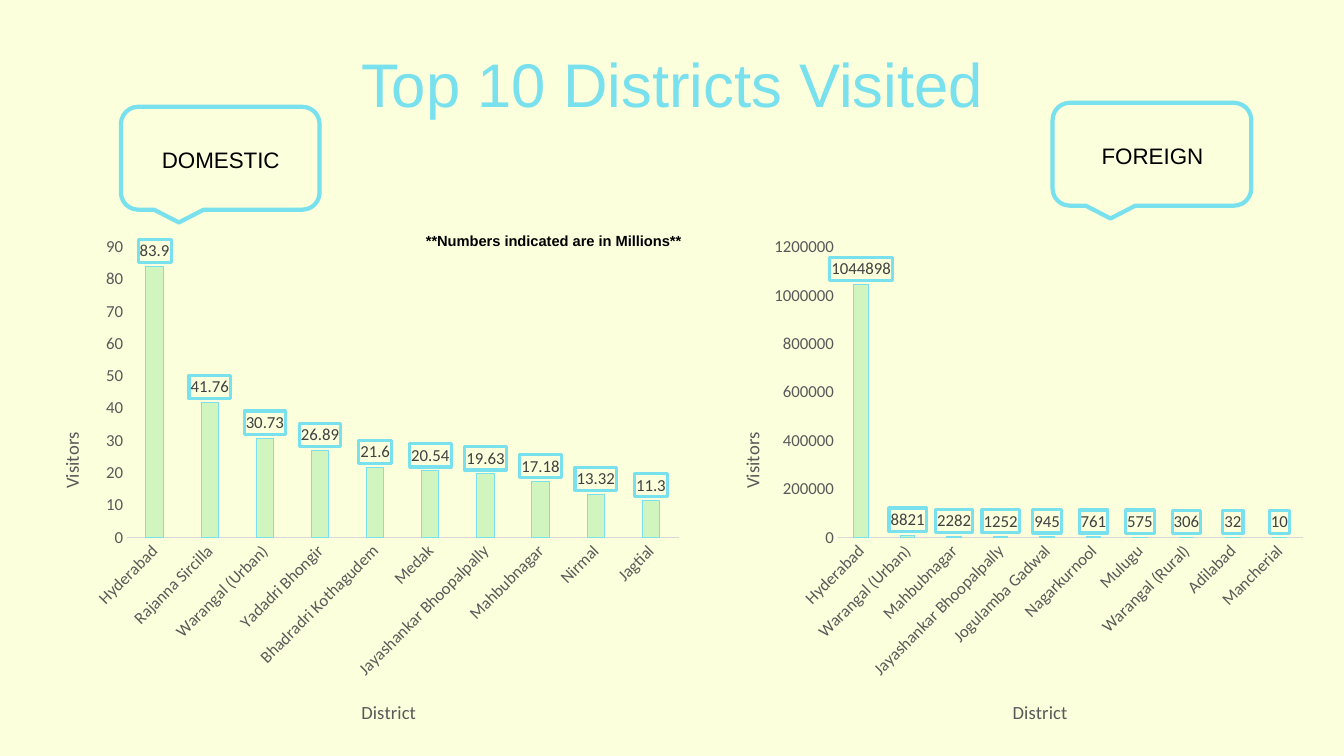
from dataclasses import dataclass

from lxml.etree import SubElement
from pptx import Presentation
from pptx.chart.data import CategoryChartData
from pptx.dml.color import RGBColor
from pptx.enum.chart import XL_CHART_TYPE, XL_LABEL_POSITION, XL_TICK_MARK
from pptx.enum.shapes import MSO_SHAPE
from pptx.enum.text import MSO_ANCHOR, MSO_AUTO_SIZE, PP_ALIGN
from pptx.oxml import parse_xml
from pptx.oxml.ns import nsdecls, qn
from pptx.util import Inches, Pt

COLORS = {
    "background": "FBFFDC",
    "accent": "79E0EE",
    "bar": "D0F5BE",
    "axis_text": "595959",
    "axis_line": "D9D9D9",
    "value_text": "404040",
    "text": "000000",
}
CHART_TOP, CHART_HEIGHT = 2.25, 5.09
PLOT_TOP, PLOT_HEIGHT = 2.45, 2.88
DISTRICT_TOP, VISITORS_TOP = 6.91, 4.25


@dataclass
class VisitorGroup:
    """Visitors of one kind, with the places of their chart and callout in inches."""

    name: str
    visitors: dict[str, float]
    left: float
    width: float
    plot_left: float
    plot_width: float
    district_left: float
    visitors_left: float
    axis_max: float
    axis_step: float
    callout_left: float
    callout_top: float


GROUPS = [
    VisitorGroup(
        "DOMESTIC",
        {"Hyderabad": 83.9, "Rajanna Sircilla": 41.76, "Warangal (Urban)": 30.73,
         "Yadadri Bhongir": 26.89, "Bhadradri Kothagudem": 21.6, "Medak": 20.54,
         "Jayashankar Bhoopalpally": 19.63, "Mahbubnagar": 17.18, "Nirmal": 13.32,
         "Jagtial": 11.3},
        left=0.29, width=6.57, plot_left=1.26, plot_width=5.47,
        district_left=3.55, visitors_left=0.55, axis_max=90, axis_step=10,
        callout_left=1.2, callout_top=1.06,
    ),
    VisitorGroup(
        "FOREIGN",
        {"Hyderabad": 1044898, "Warangal (Urban)": 8821, "Mahbubnagar": 2282,
         "Jayashankar Bhoopalpally": 1252, "Jogulamba Gadwal": 945, "Nagarkurnool": 761,
         "Mulugu": 575, "Warangal (Rural)": 306, "Adilabad": 32, "Mancherial": 10},
        left=7.04, width=6, plot_left=8.31, plot_width=4.61,
        district_left=10.01, visitors_left=7.3, axis_max=1200000, axis_step=200000,
        callout_left=10.44, callout_top=1.02,
    ),
]


def color(name: str) -> RGBColor:
    """Return the named colour."""
    return RGBColor.from_string(COLORS[name])


def style_font(font, size: float, shade: str, face: str = "Arial", bold: bool = False) -> None:
    """Set face, size, colour and weight of a font."""
    font.name, font.size, font.bold = face, Pt(size), bold
    font.color.rgb = color(shade)


def add_label(slide, text: str, left: float, top: float, width: float, height: float,
              size: float, align: PP_ALIGN, bold: bool = False) -> None:
    """Add a one-line text box."""
    label = slide.shapes.add_textbox(Inches(left), Inches(top), Inches(width), Inches(height))
    frame = label.text_frame
    frame.word_wrap = True
    frame.auto_size = MSO_AUTO_SIZE.SHAPE_TO_FIT_TEXT
    frame.paragraphs[0].alignment = align
    run = frame.paragraphs[0].add_run()
    run.text = text
    style_font(run.font, size, "text", bold=bold)


def place(part, index: int, group: VisitorGroup, left: float, top: float,
          size: tuple[float, float] | None = None) -> None:
    """Give a chart part a fixed place, from slide positions in inches."""
    for old in part.findall(qn("c:layout")):
        part.remove(old)
    layout = parse_xml(f"<c:layout {nsdecls('c')}><c:manualLayout/></c:layout>")
    values = {"xMode": "edge", "yMode": "edge",
              "x": (left - group.left) / group.width,
              "y": (top - CHART_TOP) / CHART_HEIGHT}
    if size:
        values = {"layoutTarget": "inner", **values,
                  "w": size[0] / group.width, "h": size[1] / CHART_HEIGHT}
    for tag, value in values.items():
        SubElement(layout[0], qn(f"c:{tag}")).set("val", str(value))
    part.insert(index, layout)


def style_axis(axis, title: str, group: VisitorGroup, left: float, top: float) -> None:
    """Format an axis and place its title."""
    axis.has_major_gridlines = False
    axis.major_tick_mark = axis.minor_tick_mark = XL_TICK_MARK.NONE
    style_font(axis.tick_labels.font, 12, "axis_text", "Calibri")
    axis.has_title = True
    run = axis.axis_title.text_frame.paragraphs[0].add_run()
    run.text = title
    style_font(run.font, 13.3, "axis_text", "Calibri")
    place(axis.axis_title.element, 1, group, left, top)


def add_visitor_chart(slide, group: VisitorGroup) -> None:
    """Add the column chart of one visitor group."""
    data = CategoryChartData()
    data.categories = list(group.visitors)
    data.add_series("Series 1", list(group.visitors.values()))
    chart = slide.shapes.add_chart(
        XL_CHART_TYPE.COLUMN_CLUSTERED, Inches(group.left), Inches(CHART_TOP),
        Inches(group.width), Inches(CHART_HEIGHT), data).chart
    chart.has_title = chart.has_legend = False
    style_font(chart.font, 10, "text", "Calibri")

    districts, counts = chart.category_axis, chart.value_axis
    style_axis(districts, "District", group, group.district_left, DISTRICT_TOP)
    style_axis(counts, "Visitors", group, group.visitors_left, VISITORS_TOP)
    districts.format.line.color.rgb = color("axis_line")
    districts.format.line.width = Pt(0.75)
    counts.format.line.fill.background()
    counts.minimum_scale, counts.maximum_scale = 0, group.axis_max
    counts.major_unit = group.axis_step

    plot = chart.plots[0]
    plot.gap_width, plot.overlap, plot.vary_by_categories = 219, -27, False
    bars = plot.series[0]
    bars.format.fill.solid()
    bars.format.fill.fore_color.rgb = color("bar")
    bars.format.line.color.rgb = color("accent")
    bars.format.line.width = Pt(0.75)
    values = bars.data_labels
    values.show_value = True
    values.position = XL_LABEL_POSITION.OUTSIDE_END
    style_font(values.font, 12, "value_text", "Calibri")

    area = chart.element.xpath("c:chart/c:plotArea")[0]
    place(area, 0, group, group.plot_left, PLOT_TOP, (group.plot_width, PLOT_HEIGHT))
    area.xpath("c:catAx/c:txPr/a:bodyPr")[0].set("rot", "-2700000")
    visitors_body = area.xpath("c:valAx/c:title//a:bodyPr")[0]
    visitors_body.set("rot", "-5400000")
    visitors_body.set("vert", "horz")
    area.xpath(".//c:dLbls/c:txPr")[0].addprevious(parse_xml(
        f"<c:spPr {nsdecls('c', 'a')}><a:noFill/><a:ln w=\"{Pt(2.25)}\"><a:solidFill>"
        f"<a:srgbClr val=\"{COLORS['accent']}\"/></a:solidFill></a:ln></c:spPr>"))


def add_callout(slide, group: VisitorGroup) -> None:
    """Add the outlined callout naming a visitor group."""
    left, top = group.callout_left, group.callout_top
    callout = slide.shapes.add_shape(
        MSO_SHAPE.ROUNDED_RECTANGULAR_CALLOUT,
        Inches(left), Inches(top), Inches(1.97), Inches(1.02))
    callout.shadow.inherit = False
    callout.fill.background()
    callout.line.color.rgb = color("accent")
    callout.line.width = Pt(3)
    add_label(slide, group.name, left + 0.25, top + 0.34, 1.48, 0.37, 16, PP_ALIGN.CENTER)


def add_title(slide, text: str) -> None:
    """Place and format the slide title."""
    title = slide.shapes.title
    title.left, title.top = Inches(0.92), Inches(0.4)
    title.width, title.height = Inches(11.5), Inches(0.93)
    title.text_frame.vertical_anchor = MSO_ANCHOR.MIDDLE
    heading = title.text_frame.paragraphs[0]
    heading.alignment, heading.line_spacing = PP_ALIGN.CENTER, 0.9
    run = heading.add_run()
    run.text = text
    style_font(run.font, 44, "accent")


def main() -> None:
    """Build and save the slide."""
    deck = Presentation()
    deck.slide_width, deck.slide_height = Inches(13.33), Inches(7.5)
    slide = deck.slides.add_slide(deck.slide_layouts[5])
    slide.background.fill.solid()
    slide.background.fill.fore_color.rgb = color("background")
    add_title(slide, "Top 10 Districts Visited")
    for group in GROUPS:
        add_visitor_chart(slide, group)
    for group in GROUPS:
        add_callout(slide, group)
    add_label(slide, "**Numbers indicated are in Millions**", 3.55, 2.25, 3.31, 0.29,
              10.5, PP_ALIGN.RIGHT, bold=True)
    deck.save("out.pptx")


if __name__ == "__main__":
    main()
